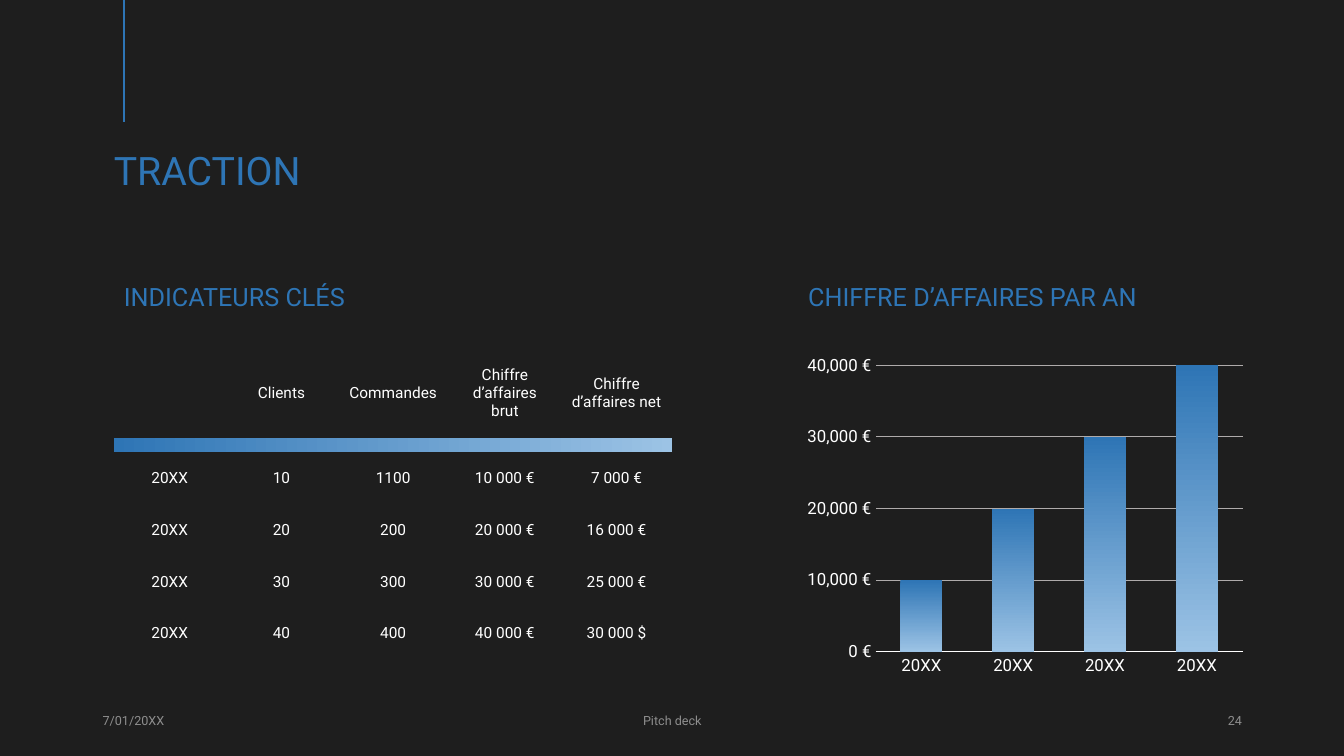
from dataclasses import dataclass

import lxml.etree
import pptx
import pptx.chart.data
import pptx.dml.color
import pptx.enum.chart
import pptx.enum.shapes
import pptx.enum.text
import pptx.oxml.ns
import pptx.util

Pt = pptx.util.Pt
ALIGN = pptx.enum.text.PP_ALIGN
ANCHOR = pptx.enum.text.MSO_ANCHOR

FONT = "Roboto"
COLORS = {
    "background": "1E1E1E",
    "accent": "2E75B5",
    "accent_light": "9CC3E5",
    "text": "FFFFFF",
    "footer": "8E8E8E",
    "grid": "AFABAB",
}
PLAIN_TABLE_STYLE = "{2D5ABB26-0587-4C30-8999-92F81FD0307C}"


@dataclass
class Label:
    text: str
    left: float
    top: float
    width: float
    height: float
    size: float
    color: str
    align: ALIGN = ALIGN.LEFT
    anchor: ANCHOR = ANCHOR.MIDDLE
    inset: float = 7.2
    line_spacing: float = 1.0


@dataclass
class YearFigures:
    customers: int
    orders: int
    gross: int
    net: int
    net_sign: str = "€"


LABELS = [
    Label("TRACTION", 81.36, 87.12, 812.88, 72.72, 28, "accent", inset=0, line_spacing=0.9),
    Label("INDICATEURS CLÉS", 81.36, 161.28, 436.32, 64.8, 18, "accent",
          anchor=ANCHOR.BOTTOM, line_spacing=0.9),
    Label("CHIFFRE D’AFFAIRES PAR AN", 570.24, 161.28, 324, 64.8, 18, "accent",
          anchor=ANCHOR.BOTTOM, line_spacing=0.9),
    Label("7/01/20XX", 66.24, 500.4, 216, 28.8, 9, "footer"),
    Label("Pitch deck", 318.24, 500.4, 324, 28.8, 9, "footer", ALIGN.CENTER),
    Label("24", 678.24, 500.4, 216, 28.8, 9, "footer", ALIGN.RIGHT),
]
YEAR = "20XX"
HEADINGS = ["", "Clients", "Commandes", "Chiffre d’affaires brut", "Chiffre d’affaires net"]
FIGURES = [
    YearFigures(10, 1100, 10000, 7000),
    YearFigures(20, 200, 20000, 16000),
    YearFigures(30, 300, 30000, 25000),
    YearFigures(40, 400, 40000, 30000, "$"),
]


def rgb(name: str) -> pptx.dml.color.RGBColor:
    return pptx.dml.color.RGBColor.from_string(COLORS[name])


def style_font(font, size: float, color: str) -> None:
    font.name = FONT
    font.size = Pt(size)
    font.color.rgb = rgb(color)


def blue_gradient(fill, angle: float) -> None:
    fill.gradient()
    fill.gradient_angle = angle
    for stop, color in zip(fill.gradient_stops, ("accent", "accent_light")):
        stop.color.rgb = rgb(color)


def money(amount: int, sign: str) -> str:
    return f"{amount:,} {sign}".replace(",", " ").replace(" ", chr(160))


def add_label(slide, label: Label) -> None:
    box = slide.shapes.add_textbox(
        Pt(label.left), Pt(label.top), Pt(label.width), Pt(label.height))
    frame = box.text_frame
    frame.word_wrap = True
    frame.vertical_anchor = label.anchor
    frame.margin_left = Pt(label.inset)
    frame.text = label.text
    paragraph = frame.paragraphs[0]
    paragraph.alignment = label.align
    paragraph.line_spacing = label.line_spacing
    style_font(paragraph.runs[0].font, label.size, label.color)


def add_accent_line(slide) -> None:
    accent = slide.shapes.add_connector(
        pptx.enum.shapes.MSO_CONNECTOR.STRAIGHT, Pt(88.56), Pt(0), Pt(88.56), Pt(87.12))
    accent.line.color.rgb = rgb("accent")
    accent.line.width = Pt(1.5)
    properties = accent.element.find(pptx.oxml.ns.qn("p:spPr"))
    lxml.etree.SubElement(properties, pptx.oxml.ns.qn("a:effectLst"))


def fill_cell(cell, text: str) -> None:
    cell.fill.background()
    cell.vertical_anchor = ANCHOR.MIDDLE
    cell.text_frame.text = text
    paragraph = cell.text_frame.paragraphs[0]
    paragraph.alignment = ALIGN.CENTER
    for run in paragraph.runs:
        style_font(run.font, 11, "text")


def add_divider(table, row: int) -> None:
    cells = [table.cell(row, column) for column in range(len(HEADINGS))]
    for cell in cells:
        cell.margin_top = cell.margin_bottom = Pt(0)
        paragraph = cell.text_frame.paragraphs[0]
        ending = lxml.etree.SubElement(
            paragraph.runs and paragraph.runs[0] or cell.text_frame.paragraphs[0]._p,
            pptx.oxml.ns.qn("a:endParaRPr"))
        ending.set("sz", "100")
    cells[0].merge(cells[-1])
    blue_gradient(cells[0].fill, 0)


def add_indicators(slide) -> None:
    heights = [64, 10] + [37] * len(FIGURES)
    frame = slide.shapes.add_table(
        len(heights), len(HEADINGS), Pt(81.36), Pt(249.12), Pt(399), Pt(sum(heights)))
    table = frame.table
    table.first_row = False
    table.horz_banding = False
    for style in frame.element.iter(pptx.oxml.ns.qn("a:tableStyleId")):
        style.text = PLAIN_TABLE_STYLE
    for row, height in zip(table.rows, heights):
        row.height = Pt(height)
    for column, heading in enumerate(HEADINGS):
        fill_cell(table.cell(0, column), heading)
    add_divider(table, 1)
    for row, year in enumerate(FIGURES, start=2):
        values = [YEAR, str(year.customers), str(year.orders),
                  money(year.gross, "€"), money(year.net, year.net_sign)]
        for column, value in enumerate(values):
            fill_cell(table.cell(row, column), value)


def add_revenue_chart(slide) -> None:
    revenue = pptx.chart.data.CategoryChartData()
    revenue.categories = [YEAR] * len(FIGURES)
    revenue.add_series("Series 1", [year.gross for year in FIGURES])
    chart = slide.shapes.add_chart(
        pptx.enum.chart.XL_CHART_TYPE.COLUMN_CLUSTERED,
        Pt(570.24), Pt(249.12), Pt(324), Pt(238.32), revenue).chart
    chart.has_legend = False
    chart.has_title = False
    style_font(chart.font, 10, "text")

    plot = chart.plots[0]
    plot.vary_by_categories = False
    plot.gap_width = 118
    plot.overlap = -3
    blue_gradient(plot.series[0].format.fill, 270)

    for axis in (chart.category_axis, chart.value_axis):
        axis.major_tick_mark = pptx.enum.chart.XL_TICK_MARK.NONE
        axis.minor_tick_mark = pptx.enum.chart.XL_TICK_MARK.NONE
        style_font(axis.tick_labels.font, 12, "text")
    years, amounts = chart.category_axis, chart.value_axis
    years.format.line.color.rgb = rgb("text")
    years.format.line.width = Pt(0.75)
    amounts.format.line.fill.background()
    amounts.minimum_scale = 0
    amounts.maximum_scale = 40000
    amounts.major_unit = 10000
    amounts.tick_labels.number_format = '#,##0\\ "€"'
    amounts.tick_labels.number_format_is_linked = False
    amounts.major_gridlines.format.line.color.rgb = rgb("grid")
    amounts.major_gridlines.format.line.width = Pt(0.75)


def main() -> None:
    deck = pptx.Presentation()
    deck.slide_width = Pt(960)
    deck.slide_height = Pt(540)
    slide = deck.slides.add_slide(deck.slide_layouts[6])
    slide.background.fill.solid()
    slide.background.fill.fore_color.rgb = rgb("background")
    add_accent_line(slide)
    add_indicators(slide)
    add_revenue_chart(slide)
    for label in LABELS:
        add_label(slide, label)
    deck.save("out.pptx")


if __name__ == "__main__":
    main()
